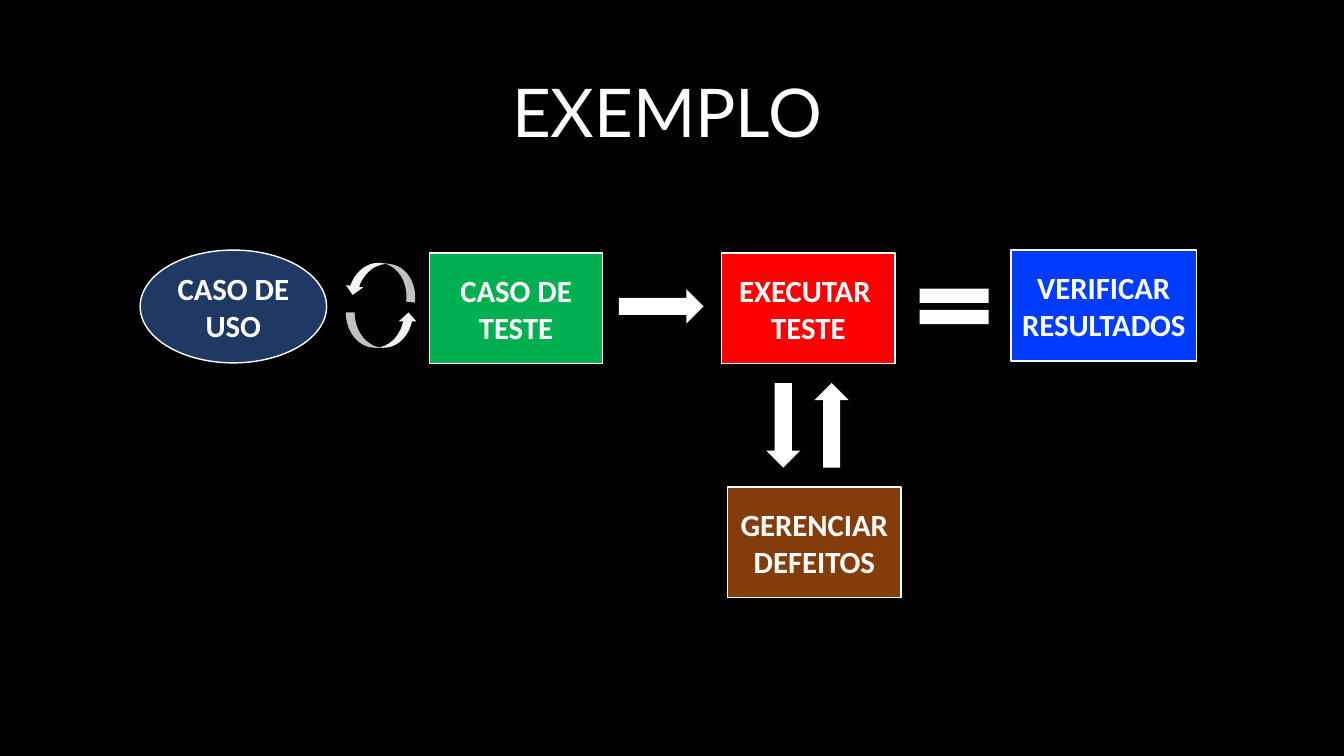
import pptx
import pptx.dml.color
import pptx.enum.shapes
import pptx.enum.text
import pptx.util

Pt = pptx.util.Pt
SHAPE = pptx.enum.shapes.MSO_SHAPE
WHITE = "FFFFFF"
CURVE_GREY = "F2F2F2"
STEP_SIZE = (123.8, 79.2)
ARROW_SIZE = (60.5, 24.5)
CURVE_SIZE = (51.1, 25.2)


def color(hex_code):
    """Return the colour for a hex string."""
    return pptx.dml.color.RGBColor.from_string(hex_code)


def write(frame, text, font, size, bold=False):
    """Write centred white text into a frame."""
    frame.text = text
    frame.word_wrap = True
    frame.vertical_anchor = pptx.enum.text.MSO_ANCHOR.MIDDLE
    for paragraph in frame.paragraphs:
        paragraph.alignment = pptx.enum.text.PP_ALIGN.CENTER
        for run in paragraph.runs:
            run.font.name = font
            run.font.size = Pt(size)
            run.font.bold = bold
            run.font.color.rgb = color(WHITE)


def add_title(slide, text):
    """Add the slide heading."""
    heading = slide.shapes.add_textbox(Pt(30.2), Pt(30.2), Pt(892.8), Pt(104.4))
    write(heading.text_frame, text, "Lato", 48)
    heading.text_frame.paragraphs[0].line_spacing = 0.9


def add_solid(slide, kind, position, size, fill):
    """Add a filled preset shape without outline or shadow."""
    solid = slide.shapes.add_shape(kind, *map(Pt, position + size))
    solid.shadow.inherit = False
    solid.fill.solid()
    solid.fill.fore_color.rgb = color(fill)
    solid.line.fill.background()
    return solid


def add_step(slide, text, position, fill, kind=SHAPE.RECTANGLE, size=STEP_SIZE):
    """Add a labelled process step with a white outline."""
    step = add_solid(slide, kind, position, size, fill)
    step.line.color.rgb = color(WHITE)
    step.line.width = Pt(1)
    step.text_frame.margin_left = step.text_frame.margin_right = Pt(6)
    write(step.text_frame, text, "Calibri", 22, bold=True)


def add_symbol(slide, kind, position, size, fill=WHITE, rotation=0):
    """Add a symbol that links two steps."""
    add_solid(slide, kind, position, size, fill).rotation = rotation


def main():
    """Build and save the test process slide."""
    deck = pptx.Presentation()
    deck.slide_width, deck.slide_height = Pt(960), Pt(540)
    slide = deck.slides.add_slide(deck.slide_layouts[6])
    slide.background.fill.solid()
    slide.background.fill.fore_color.rgb = color("000000")

    add_title(slide, "EXEMPLO")
    add_step(slide, "CASO DE USO", (100.1, 178.6), "203864", SHAPE.OVAL, (133.2, 80.6))
    add_step(slide, "CASO DE TESTE", (306.7, 180.7), "00B050")
    add_step(slide, "EXECUTAR \nTESTE", (515.5, 180.7), "FF0000")
    add_step(slide, "VERIFICAR RESULTADOS", (722.2, 178.6), "003CFF", size=(132.5, 79.2))
    add_step(slide, "GERENCIAR DEFEITOS", (519.8, 347.8), "843C0B")

    for position, rotation in (((442.1, 206.6), 0), ((529.2, 291.6), 90), ((563.8, 291.6), 270)):
        add_symbol(slide, SHAPE.RIGHT_ARROW, position, ARROW_SIZE, rotation=rotation)
    for top, rotation in ((223.2, 0), (187.9, 187.1)):
        add_symbol(slide, SHAPE.CURVED_UP_ARROW, (247, top), CURVE_SIZE, CURVE_GREY, rotation)
    add_symbol(slide, SHAPE.MATH_EQUAL, (648, 197.3), (67, 43.2))

    deck.save("out.pptx")


if __name__ == "__main__":
    main()
